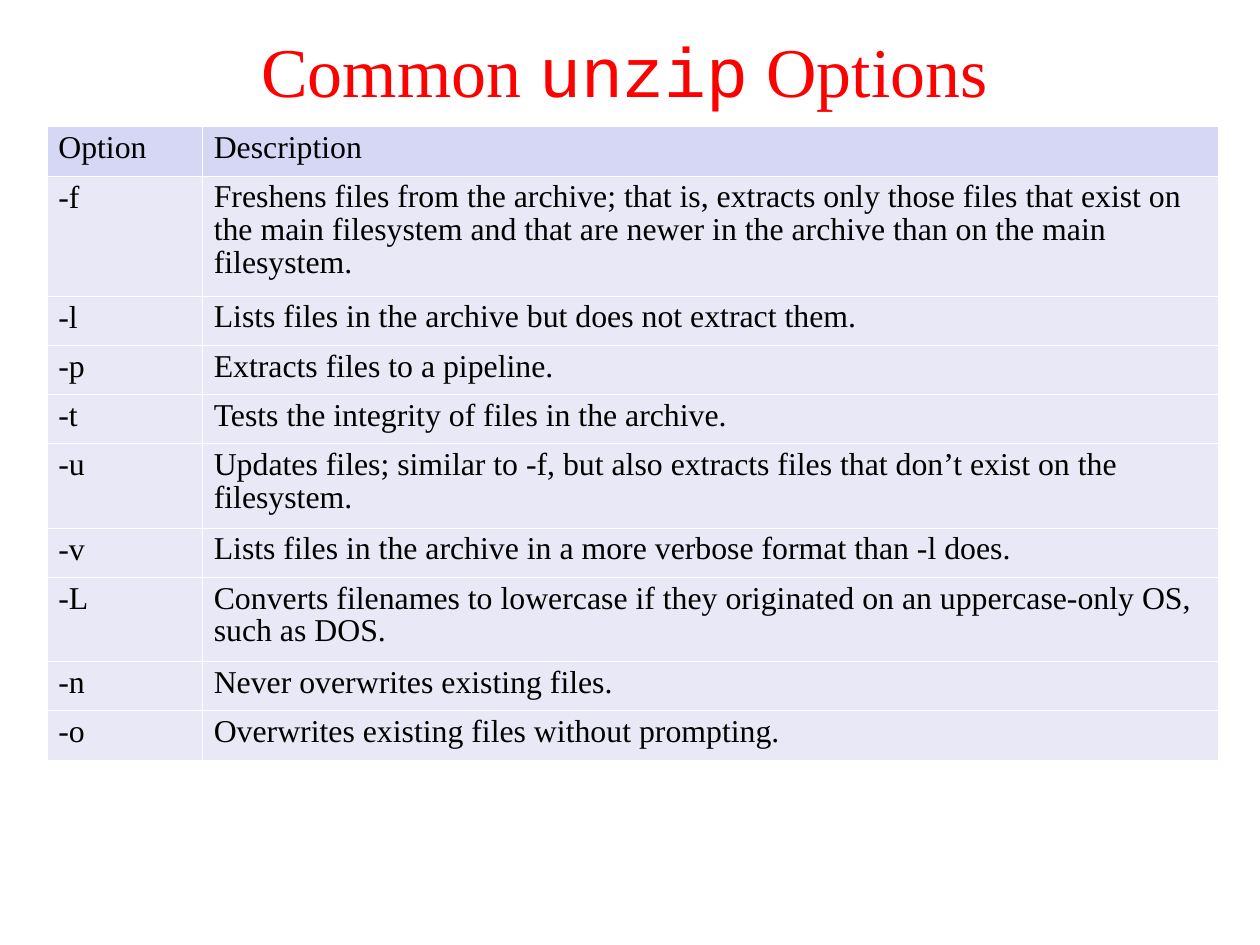
from lxml import etree
from pptx import Presentation, util as u
from pptx.dml.color import RGBColor
from pptx.enum import text
from pptx.oxml.ns import qn

WIDTH, HEIGHT = u.Cm(28), u.Cm(21)
SERIF, MONO = "Times New Roman", "Courier New"
RED, BLACK, WHITE = "FF0000", "000000", "FFFFFF"
HEADER_FILL, BODY_FILL = "D6D6F5", "E8E8F6"
COLUMN_SHARES = (12.34, 80.67)
ROW_PADDING, LINE_SHARE = 1.45, 3.75
SPACINGS = (0.94, 0.93)

TITLE = (("Common ", SERIF), ("unzip", MONO), (" Options", SERIF))
OPTIONS = (
    ("Option", "Description", 1),
    ("-f", "Freshens files from the archive; that is, extracts only those files that exist on "
           "the main filesystem and that are newer in the archive than on the main filesystem.", 3),
    ("-l", "Lists files in the archive but does not extract them.", 1),
    ("-p", "Extracts files to a pipeline.", 1),
    ("-t", "Tests the integrity of files in the archive.", 1),
    ("-u", "Updates files; similar to -f, but also extracts files that don’t exist on the filesystem.", 2),
    ("-v", "Lists files in the archive in a more verbose format than -l does.", 1),
    ("-L", "Converts filenames to lowercase if they originated on an uppercase-only OS, such as DOS.", 2),
    ("-n", "Never overwrites existing files.", 1),
    ("-o", "Overwrites existing files without prompting.", 1),
)


def across(share):
    return round(WIDTH * share / 100)


def down(share):
    return round(HEIGHT * share / 100)


def color(value):
    return RGBColor.from_string(value)


def apply_format(target, values):
    for name, value in values.items():
        setattr(target, name, value)


def add_span(para, words, font, size, shade):
    span = para.add_run()
    span.text = words
    apply_format(span.font, {"name": font, "size": u.Pt(size), "bold": False})
    span.font.color.rgb = color(shade)


def add_title(page):
    box = page.shapes.add_textbox(across(6.9), down(1.81), across(85.35), down(11.61))
    frame = box.text_frame
    apply_format(frame, {
        "word_wrap": True, "vertical_anchor": text.MSO_ANCHOR.MIDDLE,
        "margin_left": 0, "margin_right": 0, "margin_top": u.Inches(0.04), "margin_bottom": 0,
    })
    para = frame.paragraphs[0]
    apply_format(para, {"alignment": text.PP_ALIGN.CENTER, "line_spacing": 0.93})
    for words, font in TITLE:
        add_span(para, words, font, 44, RED)


def add_borders(cell):
    properties = cell._tc.get_or_add_tcPr()
    for side in ("lnL", "lnR", "lnT", "lnB"):
        line = etree.SubElement(properties, qn(f"a:{side}"), w=str(u.Pt(0.45)))
        fill = etree.SubElement(line, qn("a:solidFill"))
        etree.SubElement(fill, qn("a:srgbClr"), val=WHITE)


def fill_cell(cell, words, shade, spacing):
    apply_format(cell, {
        "margin_left": u.Inches(0.1), "margin_right": u.Inches(0.1),
        "margin_top": u.Inches(0.05), "margin_bottom": u.Inches(0.05),
    })
    add_borders(cell)
    cell.fill.solid()
    cell.fill.fore_color.rgb = color(shade)
    para = cell.text_frame.paragraphs[0]
    para.line_spacing = spacing
    add_span(para, words, SERIF, 20, BLACK)


def add_options_table(page):
    heights = [down(ROW_PADDING + LINE_SHARE * lines) for *_, lines in OPTIONS]
    widths = [across(share) for share in COLUMN_SHARES]
    table = page.shapes.add_table(
        len(heights), len(widths), across(3.72), down(13.42), sum(widths), sum(heights)
    ).table
    table.horz_banding = False
    for column, width in zip(table.columns, widths):
        column.width = width
    for index, (row, height, option) in enumerate(zip(table.rows, heights, OPTIONS)):
        row.height = height
        shade = BODY_FILL if index else HEADER_FILL
        spacings = SPACINGS if index else SPACINGS[1:] * 2
        for cell, words, spacing in zip(row.cells, option, spacings):
            fill_cell(cell, words, shade, spacing)


def main():
    deck = Presentation()
    deck.slide_width = WIDTH
    deck.slide_height = HEIGHT
    page = deck.slides.add_slide(deck.slide_layouts[6])
    add_title(page)
    add_options_table(page)
    deck.save("out.pptx")


if __name__ == "__main__":
    main()
